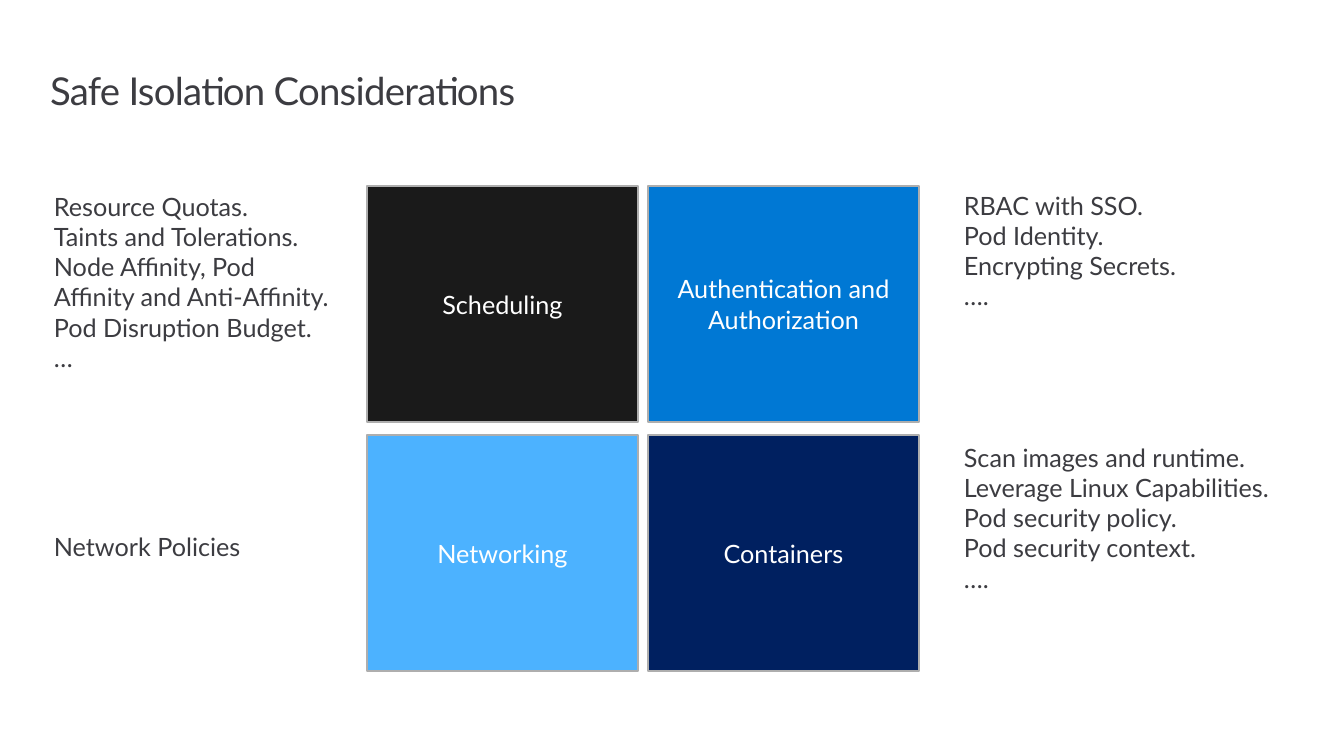
"""Build the Safe Isolation Considerations slide."""
from pptx import Presentation
from pptx.dml.color import RGBColor
from pptx.enum.shapes import MSO_SHAPE
from pptx.enum.text import MSO_ANCHOR, MSO_AUTO_SIZE, PP_ALIGN
from pptx.util import Emu, Pt

EMU_PER_PX = 914400 / 100.8
FONT = "Lato"
TEXT = RGBColor(0x3C, 0x3C, 0x41)
WHITE = RGBColor(0xFF, 0xFF, 0xFF)
OUTLINE = RGBColor(0xAE, 0xAE, 0xAE)
BLACK = RGBColor(0x1A, 0x1A, 0x1A)
BLUE = RGBColor(0x00, 0x78, 0xD4)
SKY = RGBColor(0x4C, 0xB2, 0xFF)
NAVY = RGBColor(0x00, 0x20, 0x60)

GRID_LEFT, GRID_TOP = 367, 186
TILE_WIDTH, TILE_HEIGHT = 271, 236
COLUMN_STEP, ROW_STEP = 281, 249

TILES = [
    [("Scheduling", BLACK), ("Authentication and Authorization", BLUE)],
    [("Networking", SKY), ("Containers", NAVY)],
]
NOTES = [
    (44, 186, 297, ["Resource Quotas.", "Taints and Tolerations.",
                    "Node Affinity, Pod Affinity and Anti-Affinity.",
                    "Pod Disruption Budget.\n…"]),
    (44, 526, 261, ["Network Policies"]),
    (954, 185, 297, ["RBAC with SSO.", "Pod Identity.",
                     "Encrypting Secrets.\n…."]),
    (954, 437, 326, ["Scan images and runtime.", "Leverage Linux Capabilities.",
                     "Pod security policy.", "Pod security context.\n…."]),
]


def px(length):
    return Emu(round(length * EMU_PER_PX))


def add_span(para, text, color, size=18):
    span = para.add_run()
    span.text = text
    span.font.name = FONT
    span.font.size = Pt(size)
    span.font.bold = False
    span.font.color.rgb = color
    return span


def format_title(title, text):
    title.left, title.top, title.width, title.height = px(50), px(69), px(1246), px(44)
    frame = title.text_frame
    frame.margin_left = frame.margin_top = frame.margin_right = frame.margin_bottom = 0
    frame.vertical_anchor = MSO_ANCHOR.TOP
    frame.auto_size = MSO_AUTO_SIZE.SHAPE_TO_FIT_TEXT
    para = frame.paragraphs[0]
    para.alignment = PP_ALIGN.LEFT
    para.line_spacing = Pt(31.4)
    span = add_span(para, text, TEXT, 27.4)
    span.font._element.set("spc", "-50")


def add_tile(page, row, column, label, color):
    tile = page.shapes.add_shape(
        MSO_SHAPE.RECTANGLE,
        px(GRID_LEFT + column * COLUMN_STEP), px(GRID_TOP + row * ROW_STEP),
        px(TILE_WIDTH), px(TILE_HEIGHT))
    tile.shadow.inherit = False
    tile.fill.solid()
    tile.fill.fore_color.rgb = color
    tile.line.color.rgb = OUTLINE
    tile.line.width = Pt(0.85)
    tile.text_frame.vertical_anchor = MSO_ANCHOR.MIDDLE
    para = tile.text_frame.paragraphs[0]
    para.alignment = PP_ALIGN.CENTER
    add_span(para, label, WHITE)


def add_note(page, left, top, width, paragraphs):
    height = 10 + 30 * sum(text.count("\n") + 1 for text in paragraphs)
    box = page.shapes.add_textbox(px(left), px(top), px(width), px(height))
    frame = box.text_frame
    frame.word_wrap = True
    frame.auto_size = MSO_AUTO_SIZE.SHAPE_TO_FIT_TEXT
    for index, text in enumerate(paragraphs):
        para = frame.add_paragraph() if index else frame.paragraphs[0]
        for number, line in enumerate(text.split("\n")):
            if number:
                para.add_line_break()
            add_span(para, line, TEXT)


def main():
    deck = Presentation()
    deck.slide_width, deck.slide_height = px(1344), px(756)
    page = deck.slides.add_slide(deck.slide_layouts[5])
    format_title(page.shapes.title, "Safe Isolation Considerations")
    for row, tiles in enumerate(TILES):
        for column, (label, color) in enumerate(tiles):
            add_tile(page, row, column, label, color)
    for note in NOTES:
        add_note(page, *note)
    deck.save("out.pptx")


if __name__ == "__main__":
    main()
